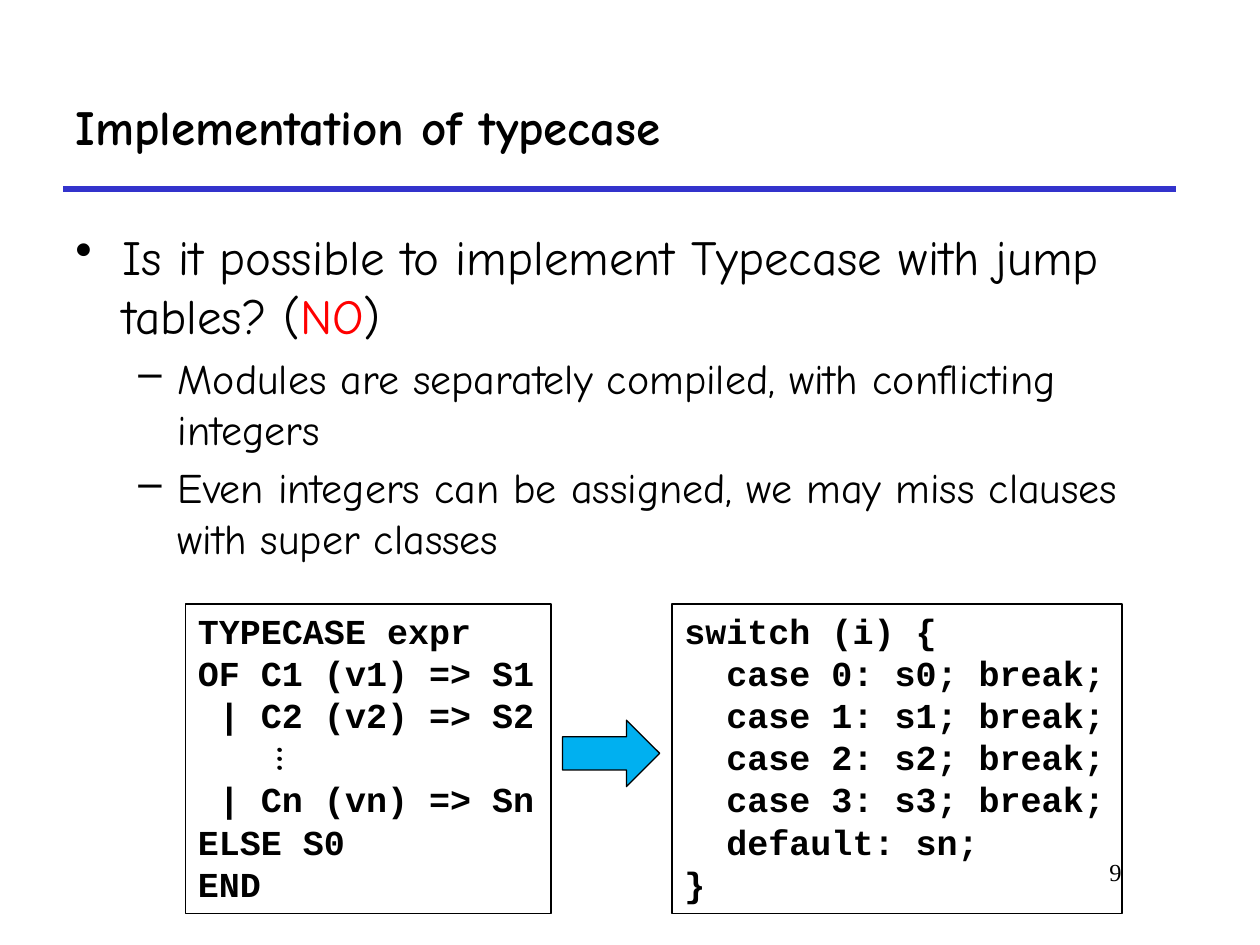
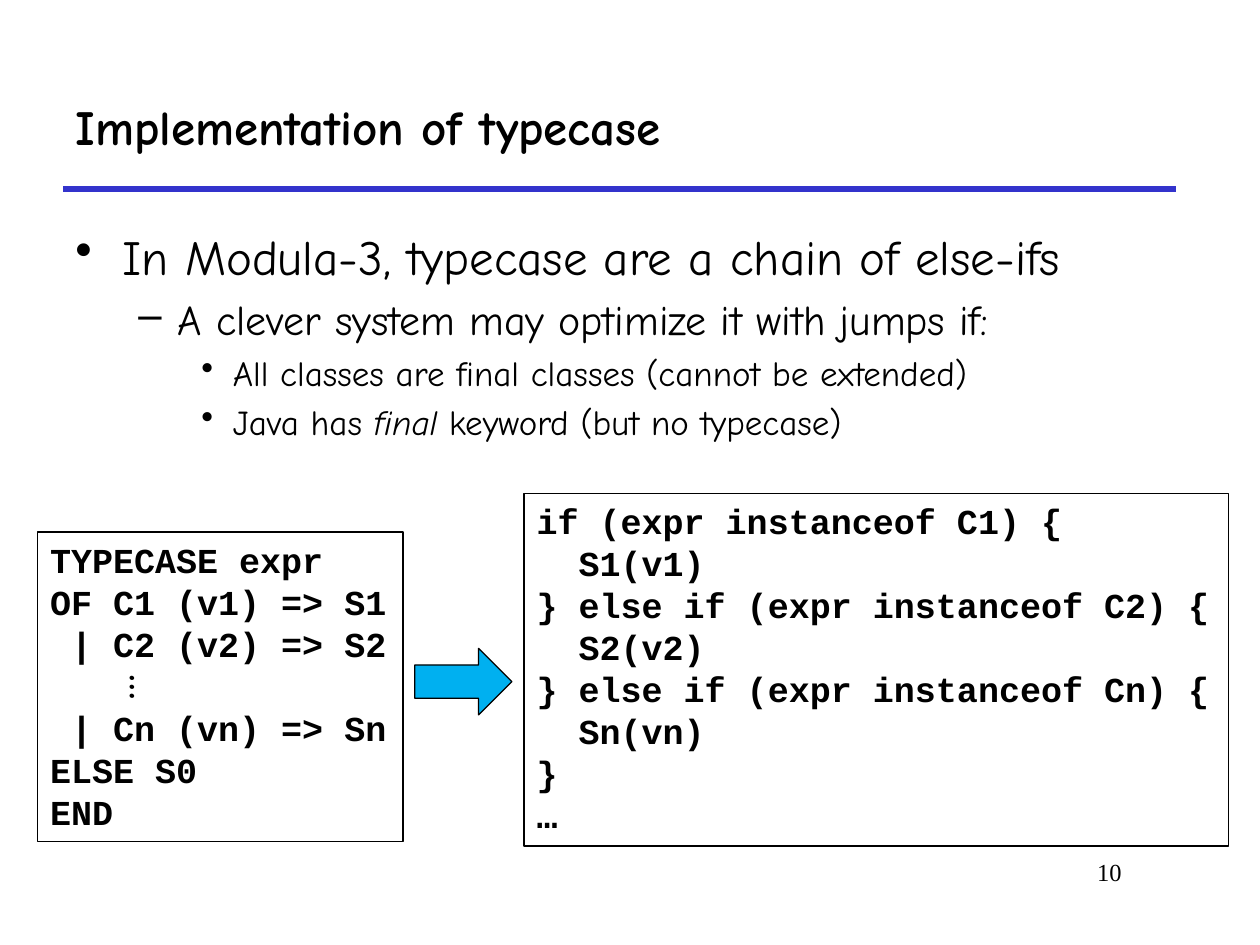
import pptx
import pptx.dml.color
import pptx.enum.shapes
import pptx.enum.text
import pptx.oxml.ns
import pptx.util
from lxml import etree

Pt = pptx.util.Pt
SHAPES = pptx.enum.shapes.MSO_SHAPE
ANCHOR = pptx.enum.text.MSO_ANCHOR
ALIGN = pptx.enum.text.PP_ALIGN

COLORS = {"text": "000000", "rule": "3333CC", "answer": "FF0000", "arrow": "00B0F0"}
BODY_FONT, CODE_FONT, NUMBER_FONT = "Comic Neue", "Courier New", "Times New Roman"

# Bullet levels: size, left margin, hanging indent, bullet
LEVELS = [(28, 27, 27, "•"), (24, 58.5, 22.5, "–"), (20, 90, 18, "•")]
CODE_LINE = 24

# Each line of code is a string; GAP leaves room for the turned ellipsis
GAP = None
TYPECASE_CODE = ["TYPECASE expr", "OF C1 (v1) => S1", " | C2 (v2) => S2", GAP,
                 " | Cn (vn) => Sn", "ELSE S0", "END"]
SWITCH_CODE = ["switch (i) {",
               *[f"  case {i}: s{i}; break;" for i in range(4)],
               "  default: sn;", "}"]
ELSE_IF_CODE = ["if (expr instanceof C1) {", "  S1(v1)",
                "} else if (expr instanceof C2) {", "  S2(v2)",
                "} else if (expr instanceof Cn) {", "  Sn(vn)", "}", "…"]


def rgb(name):
    return pptx.dml.color.RGBColor.from_string(COLORS[name])


class Deck:
    def __init__(self):
        self.presentation = pptx.Presentation()
        self.presentation.slide_width = Pt(720)
        self.presentation.slide_height = Pt(540)
        self.slide = None

    def new_slide(self, title, number):
        """Start a slide with its rule, title and page number."""
        self.slide = self.presentation.slides.add_slide(self.presentation.slide_layouts[6])
        self.rule(36, 108, 672)
        heading = self.text_frame(36, 36, 636, 72)
        heading.vertical_anchor = ANCHOR.MIDDLE
        self.run(heading.paragraphs[0], title, 28, bold=True)
        page = self.text_frame(546, 486, 102, 36).paragraphs[0]
        page.alignment = ALIGN.RIGHT
        self.run(page, str(number), 14, NUMBER_FONT)

    def rule(self, left, top, right):
        rule = self.slide.shapes.add_connector(
            pptx.enum.shapes.MSO_CONNECTOR.STRAIGHT, Pt(left), Pt(top), Pt(right), Pt(top))
        rule.line.color.rgb = rgb("rule")
        rule.line.width = Pt(3)
        etree.SubElement(rule._element.spPr, pptx.oxml.ns.qn("a:effectLst"))

    def text_frame(self, left, top, width, height, rotation=0, wrap=True):
        box = self.slide.shapes.add_textbox(Pt(left), Pt(top), Pt(width), Pt(height))
        box.rotation = rotation
        box.text_frame.word_wrap = wrap
        return box.text_frame

    def run(self, paragraph, text, size, font=BODY_FONT, color="text", bold=False, italic=False):
        run = paragraph.add_run()
        run.text = text
        run.font.size = Pt(size)
        run.font.name = font
        run.font.bold = bold
        run.font.italic = italic
        run.font.color.rgb = rgb(color)

    def bullets(self, points):
        """Each point is a level followed by (text, style) runs."""
        frame = self.text_frame(36, 126, 654, 348)
        for index, (level, *runs) in enumerate(points):
            size, margin, hanging, bullet = LEVELS[level]
            point = frame.paragraphs[0] if index == 0 else frame.add_paragraph()
            point.level = level
            properties = point._p.get_or_add_pPr()
            properties.set("marL", str(Pt(margin)))
            properties.set("indent", str(-Pt(hanging)))
            etree.SubElement(properties, pptx.oxml.ns.qn("a:buChar"), char=bullet)
            if index:
                point.space_before = Pt(size * 0.2)
            for text, style in runs:
                self.run(point, text, size, **style)

    def shape(self, kind, left, top, width, height, line_width, fill=None):
        shape = self.slide.shapes.add_shape(kind, Pt(left), Pt(top), Pt(width), Pt(height))
        shape.shadow.inherit = False
        if fill:
            shape.fill.solid()
            shape.fill.fore_color.rgb = rgb(fill)
        else:
            shape.fill.background()
        shape.line.color.rgb = rgb("text")
        shape.line.width = Pt(line_width)
        return shape

    def code(self, lines, left, top, width, height):
        frame = self.shape(SHAPES.RECTANGLE, left, top, width, height, 1).text_frame
        frame.word_wrap = False
        frame.vertical_anchor = ANCHOR.TOP
        for index, text in enumerate(lines):
            if text is GAP:
                continue
            line = frame.paragraphs[0] if index == 0 else frame.add_paragraph()
            line.alignment = ALIGN.LEFT
            line.line_spacing = Pt(CODE_LINE)
            if index and lines[index - 1] is GAP:
                line.space_before = Pt(CODE_LINE)
            self.run(line, text, 20, CODE_FONT, bold=True)

    def typecase(self, left, top):
        """The typecase code with its ellipsis, and the arrow to its translation."""
        self.code(TYPECASE_CODE, left, top, 209, 177)
        ellipsis = self.text_frame(left + 46.5, top + 72, 29.5, 34, rotation=90, wrap=False)
        self.run(ellipsis.paragraphs[0], "…", 22, bold=True)
        self.shape(SHAPES.RIGHT_ARROW, left + 215.5, top + 66.5, 55.5, 38, 0.75, "arrow")


def main():
    deck = Deck()

    # Jump tables
    deck.new_slide("Implementation of typecase", 9)
    deck.bullets([
        (0, ("Is it possible to implement Typecase with jump tables? (", {}),
         ("NO", {"color": "answer"}), (")", {})),
        (1, ("Modules are separately compiled, with conflicting integers", {})),
        (1, ("Even integers can be assigned, we may miss clauses with super classes", {})),
    ])
    deck.typecase(106, 345)
    deck.code(SWITCH_CODE, 384, 345, 257, 177)

    # Chain of else-ifs
    deck.new_slide("Implementation of typecase", 10)
    deck.bullets([
        (0, ("In Modula-3, typecase are a chain of else-ifs", {})),
        (1, ("A clever system may optimize it with jumps if:", {})),
        (2, ("All classes are final classes (cannot be extended)", {})),
        (2, ("Java has ", {}), ("final", {"italic": True}),
         (" keyword (but no typecase)", {})),
    ])
    deck.typecase(21.5, 304)
    deck.code(ELSE_IF_CODE, 299.5, 282, 402.5, 201.5)

    deck.presentation.save("out.pptx")


if __name__ == "__main__":
    main()
